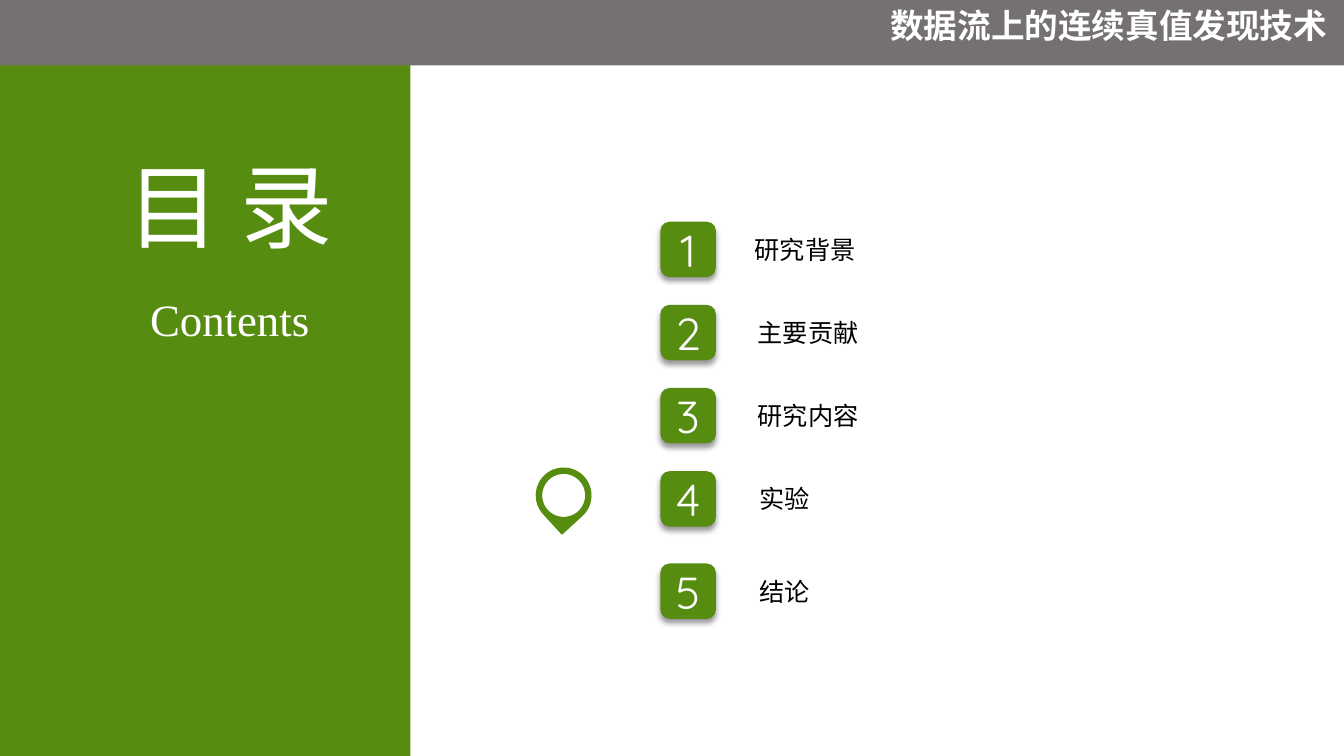
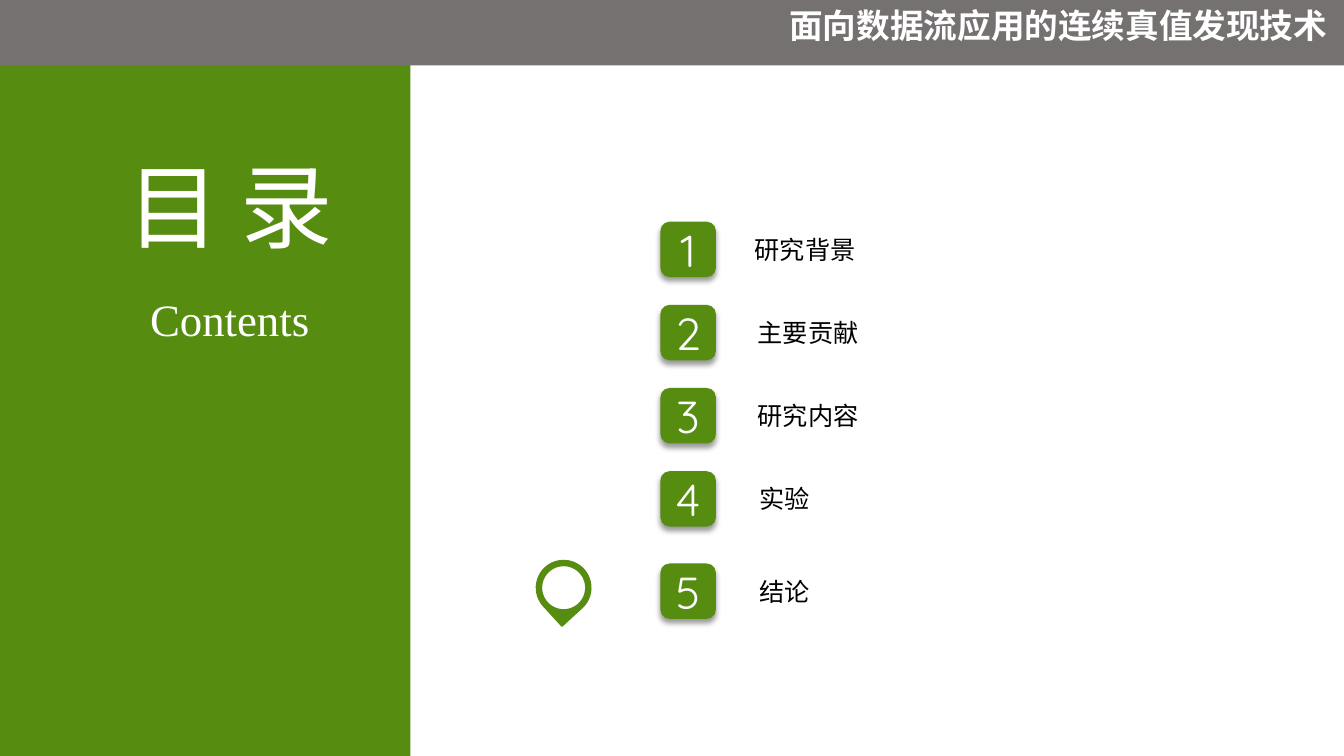
from dataclasses import dataclass
from typing import Any

from lxml import etree
from pptx import Presentation
from pptx import util as u
from pptx.dml.color import RGBColor
from pptx.enum import shapes, text
from pptx.oxml import ns

WIDTH, HEIGHT = u.Inches(13.33), u.Inches(7.5)
COLORS = {"green": "568D11", "gray": "767171", "white": "FFFFFF", "black": "000000"}
CJK = "Noto Sans CJK SC"

# Agenda grid, in percent of the slide
FIRST_ROW, ROW_PITCH = 29.33, 11


@dataclass(frozen=True)
class Area:
    """A rectangle in percent of the slide's width and height."""
    left: float
    top: float
    width: float
    height: float

    def lengths(self) -> tuple[int, int, int, int]:
        return (int(WIDTH * self.left / 100), int(HEIGHT * self.top / 100),
                int(WIDTH * self.width / 100), int(HEIGHT * self.height / 100))


@dataclass(frozen=True)
class Style:
    font: str
    size: int
    color: str = "white"
    bold: bool = False
    align: Any = text.PP_ALIGN.CENTER


@dataclass(frozen=True)
class Entry:
    label: str
    row: float
    label_left: float

    @property
    def top(self) -> float:
        return FIRST_ROW + self.row * ROW_PITCH


@dataclass(frozen=True)
class Agenda:
    header: str
    current: int


HEADER = Style(CJK, 24, bold=True, align=text.PP_ALIGN.RIGHT)
TITLE = Style(CJK, 66)
SUBTITLE = Style("Times New Roman", 32)
NUMBER = Style("Quicksand", 32)
LABEL = Style(CJK, 18, "black")

ENTRIES = [
    Entry("研究背景", 0, 55.36),
    Entry("主要贡献", 1, 55.59),
    Entry("研究内容", 2, 55.59),
    Entry("实验", 3, 55.74),
    Entry("结论", 4.11, 55.74),
]
AGENDAS = [
    Agenda("数据流上的连续真值发现技术", 3),
    Agenda("面向数据流应用的连续真值发现技术", 4),
]


def rgb(name: str) -> RGBColor:
    return RGBColor.from_string(COLORS[name])


def write(shape: Any, words: str, style: Style, **frame_format: Any) -> None:
    frame = shape.text_frame
    for name, value in frame_format.items():
        setattr(frame, name, value)
    para = frame.paragraphs[0]
    para.alignment = style.align
    span = para.add_run()
    span.text = words
    for name, value in {"name": style.font, "size": u.Pt(style.size), "bold": style.bold}.items():
        setattr(span.font, name, value)
    span.font.color.rgb = rgb(style.color)
    # East Asian characters take their own typeface setting
    properties = span.font._element
    etree.SubElement(properties, ns.qn("a:ea"), typeface=style.font)


def add_text(page: Any, area: Area, words: str, style: Style, wrap: bool = False) -> None:
    box = page.shapes.add_textbox(*area.lengths())
    write(box, words, style, word_wrap=wrap, auto_size=text.MSO_AUTO_SIZE.SHAPE_TO_FIT_TEXT)


def add_block(parent: Any, kind: Any, area: Area, fill: str, outline: str = "") -> Any:
    block = parent.shapes.add_shape(kind, *area.lengths())
    block.shadow.inherit = False
    block.fill.solid()
    block.fill.fore_color.rgb = rgb(fill)
    if outline:
        block.line.color.rgb = rgb(outline)
        block.line.width = u.Pt(1)
    else:
        block.line.fill.background()
    return block


def drop_shadow(shape: Any) -> None:
    effects = shape.element.spPr.find(ns.qn("a:effectLst"))
    shadow = etree.SubElement(effects, ns.qn("a:outerShdw"), blurRad=str(u.Pt(4)),
                              dist=str(u.Pt(3)), dir="5400000", algn="t", rotWithShape="0")
    color = etree.SubElement(shadow, ns.qn("a:srgbClr"), val=COLORS["black"])
    etree.SubElement(color, ns.qn("a:alpha"), val="40000")


def add_entry(page: Any, number: int, entry: Entry) -> None:
    badge = add_block(page, shapes.MSO_SHAPE.ROUNDED_RECTANGLE,
                      Area(49.14, entry.top, 4.13, 7.33), "green")
    drop_shadow(badge)
    write(badge, str(number), NUMBER, vertical_anchor=text.MSO_ANCHOR.MIDDLE)
    label_width = 1.56 + 1.88 * len(entry.label)
    add_text(page, Area(entry.label_left, entry.top + 1, label_width, 5.33), entry.label, LABEL)


def add_pin(page: Any, entry: Entry) -> None:
    pin = page.shapes.add_group_shape()
    top = entry.top - 0.4
    drop = add_block(pin, shapes.MSO_SHAPE.TEAR, Area(39.91, top, 4.05, 7.2), "green", "green")
    drop.rotation = 137.5
    add_block(pin, shapes.MSO_SHAPE.OVAL, Area(40.29, top + 0.67, 3.3, 5.87), "white", "green")


def add_title(page: Any) -> None:
    title = page.shapes.title
    area = Area(7.65, 19.07, 18.9, 16.13)
    for name, value in zip(("left", "top", "width", "height"), area.lengths()):
        setattr(title, name, value)
    write(title, "目 录", TITLE, word_wrap=False, vertical_anchor=text.MSO_ANCHOR.TOP,
          auto_size=text.MSO_AUTO_SIZE.SHAPE_TO_FIT_TEXT)
    # Bring the title in front of the side panel
    title.element.getparent().append(title.element)


def add_agenda(deck: Any, agenda: Agenda) -> None:
    page = deck.slides.add_slide(deck.slide_layouts.get_by_name("Title Only"))
    # Side panel
    add_block(page, shapes.MSO_SHAPE.RECTANGLE, Area(0, 0, 30.53, 100), "green")
    add_title(page)
    add_text(page, Area(10.35, 37.87, 13.5, 8.53), "Contents", SUBTITLE)
    # Top band
    add_block(page, shapes.MSO_SHAPE.RECTANGLE, Area(0, 0, 100, 8.67), "gray")
    add_text(page, Area(44.04, 0, 55.44, 6.67), agenda.header, HEADER, wrap=True)
    # Agenda entries and the marker of the current one
    for number, entry in enumerate(ENTRIES, 1):
        add_entry(page, number, entry)
    add_pin(page, ENTRIES[agenda.current])


def main() -> None:
    deck = Presentation()
    deck.slide_width, deck.slide_height = WIDTH, HEIGHT
    for agenda in AGENDAS:
        add_agenda(deck, agenda)
    deck.save("out.pptx")


if __name__ == "__main__":
    main()
